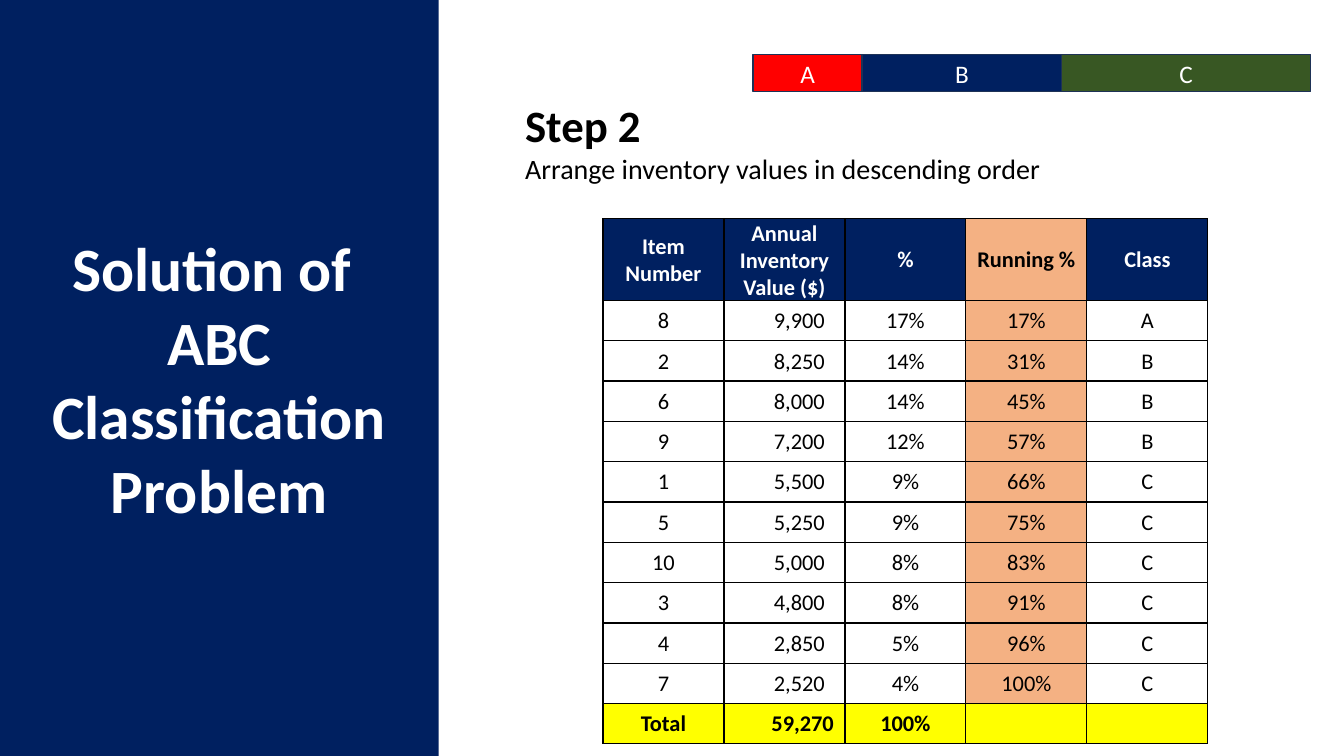
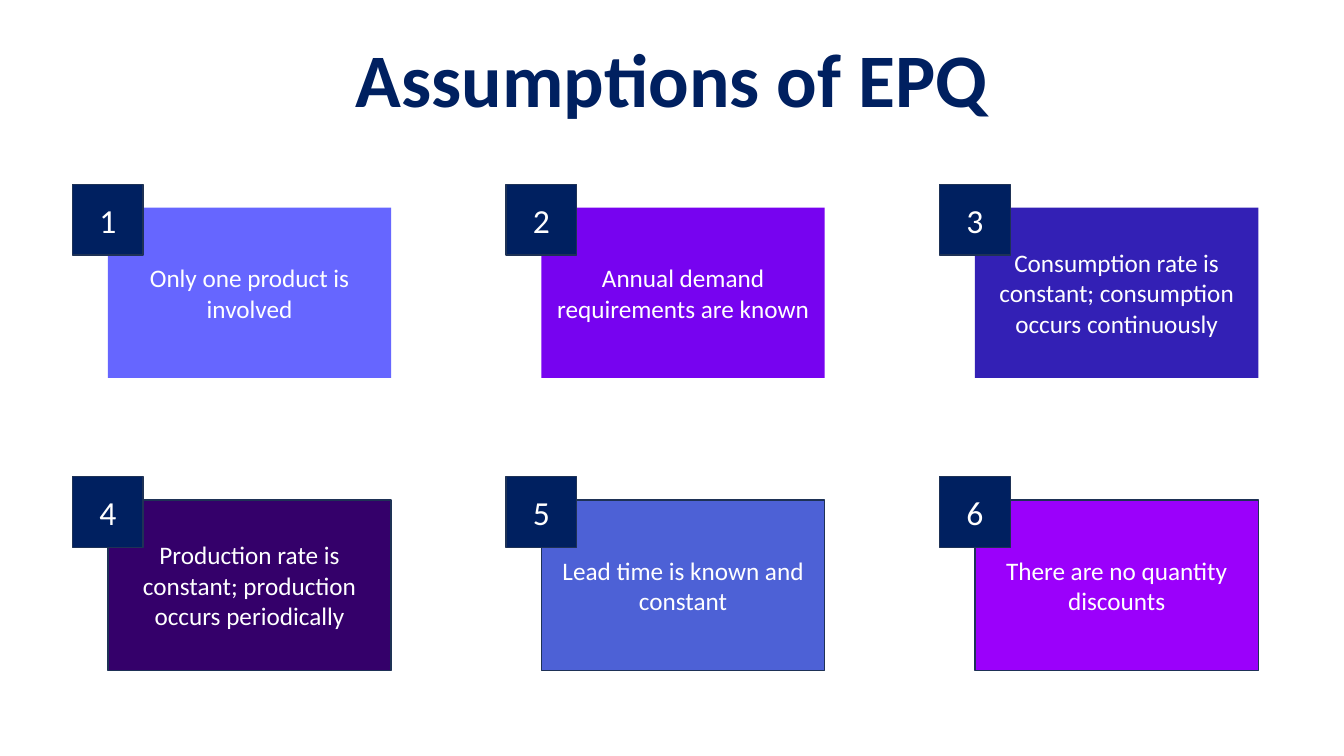
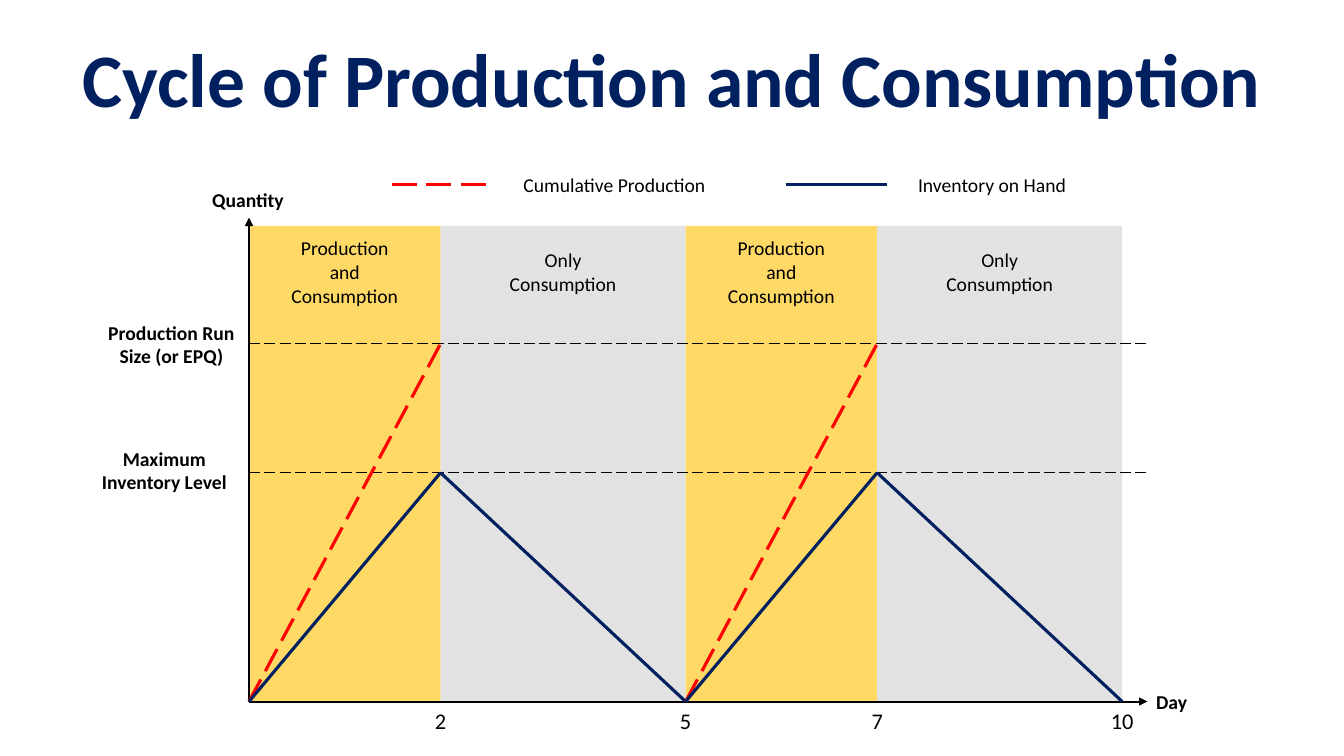
import lxml.etree
import pptx
import pptx.dml.color
import pptx.enum.dml
import pptx.enum.shapes
import pptx.enum.text
import pptx.oxml.ns
import pptx.util

Inches = pptx.util.Inches
Pt = pptx.util.Pt
RGBColor = pptx.dml.color.RGBColor
ALIGN = pptx.enum.text.PP_ALIGN
MIDDLE = pptx.enum.text.MSO_ANCHOR.MIDDLE
RECTANGLE = pptx.enum.shapes.MSO_SHAPE.RECTANGLE
STRAIGHT = pptx.enum.shapes.MSO_CONNECTOR.STRAIGHT
LONG_DASH = pptx.enum.dml.MSO_LINE.LONG_DASH
qn = pptx.oxml.ns.qn

NAVY = RGBColor(0x00, 0x20, 0x60)
OUTLINE = RGBColor(0x1E, 0x32, 0x56)
WHITE = RGBColor(0xFF, 0xFF, 0xFF)
BLACK = RGBColor(0x00, 0x00, 0x00)
RED = RGBColor(0xFF, 0x00, 0x00)
GREEN = RGBColor(0x38, 0x57, 0x23)
PEACH = RGBColor(0xF4, 0xB1, 0x83)
YELLOW = RGBColor(0xFF, 0xFF, 0x00)
GOLD = RGBColor(0xFF, 0xD9, 0x66)
GREY = RGBColor(0xE2, 0xE2, 0xE2)
PERIWINKLE = RGBColor(0x66, 0x66, 0xFF)
VIOLET = RGBColor(0x77, 0x03, 0xF0)
INDIGO = RGBColor(0x33, 0x20, 0xB5)
PLUM = RGBColor(0x34, 0x00, 0x6A)
BLUE = RGBColor(0x4D, 0x61, 0xD6)
PURPLE = RGBColor(0x9B, 0x00, 0xFB)


class Deck:
    """Holds the presentation, its style and the current slide."""
    font = "Calibri"
    width, height = 13.33, 7.5

    def __init__(self):
        self.prs = pptx.Presentation()
        self.prs.slide_width = Inches(self.width)
        self.prs.slide_height = Inches(self.height)

    def new_slide(self, title=None):
        self.s = self.prs.slides.add_slide(self.prs.slide_layouts[6])
        if title:
            self.text(0, 0, self.width, 1.53, title, size=54, color=NAVY, bold=True)

    def styled_run(self, p, text, align=ALIGN.CENTER, size=18, color=BLACK, bold=False):
        p.alignment = align
        r = p.add_run()
        r.text = text
        r.font.color.rgb = color
        style = {"name": self.font, "size": Pt(size), "bold": bold}
        for key, value in style.items():
            setattr(r.font, key, value)

    def frame(self, sp, *lines, **style):
        """Fills a shape with one paragraph per line."""
        tf = sp.text_frame
        tf.word_wrap = True
        tf.vertical_anchor = MIDDLE
        for i, line in enumerate(lines):
            p = tf.add_paragraph() if i else tf.paragraphs[0]
            self.styled_run(p, line, **style)
        return tf

    def text(self, x, y, w, h, *lines, **style):
        sp = self.s.shapes.add_textbox(Inches(x), Inches(y), Inches(w), Inches(h))
        return self.frame(sp, *lines, **style)

    def box(self, x, y, w, h, fill, *lines, outline=None, **style):
        sp = self.s.shapes.add_shape(RECTANGLE, Inches(x), Inches(y), Inches(w), Inches(h))
        sp.shadow.inherit = False
        sp.fill.solid()
        sp.fill.fore_color.rgb = fill
        if outline is None:
            sp.line.fill.background()
        else:
            sp.line.color.rgb = outline
            sp.line.width = Pt(1)
        self.frame(sp, *lines, color=WHITE, **style)

    def line(self, start, end, color=BLACK, width=1.0, dash=None, arrow=False):
        sp = self.s.shapes.add_connector(STRAIGHT, *map(Inches, start + end))
        sp.line.color.rgb = color
        sp.line.width = Pt(width)
        if dash:
            sp.line.dash_style = dash
        spPr = sp._element.spPr
        if arrow:
            lxml.etree.SubElement(spPr.find(qn("a:ln")), qn("a:tailEnd"), type="triangle")
        lxml.etree.SubElement(spPr, qn("a:effectLst"))

    def cell(self, cell, text, fill, right=0.01, **style):
        margins = {"margin_left": 0.01, "margin_right": right,
                   "margin_top": 0.01, "margin_bottom": 0}
        for key, value in margins.items():
            setattr(cell, key, Inches(value))
        cell.vertical_anchor = MIDDLE
        tcPr = cell._tc.get_or_add_tcPr()
        for side in ("lnL", "lnR", "lnT", "lnB"):
            ln = lxml.etree.SubElement(tcPr, qn("a:" + side), w=str(Pt(1)))
            solid = lxml.etree.SubElement(ln, qn("a:solidFill"))
            lxml.etree.SubElement(solid, qn("a:srgbClr"), val=str(BLACK))
        cell.fill.solid()
        cell.fill.fore_color.rgb = fill
        if text:
            self.styled_run(cell.text_frame.paragraphs[0], text, size=16, **style)

    def table(self, x, y, col_width, row_heights, rows, cell_style):
        """Draws rows; cell_style(row, column) gives the format of a cell."""
        n = len(rows[0])
        frame = self.s.shapes.add_table(len(rows), n, Inches(x), Inches(y),
                                        Inches(col_width * n), Inches(sum(row_heights)))
        table = frame.table
        table.first_row = table.horz_banding = False
        for column in table.columns:
            column.width = Inches(col_width)
        for i, row in enumerate(rows):
            table.rows[i].height = Inches(row_heights[i])
            for j, text in enumerate(row):
                self.cell(table.cell(i, j), text, **cell_style(i, j))


def abc_solution(deck):
    deck.new_slide()
    deck.box(0, 0, 4.35, deck.height, NAVY, "Solution of ", "ABC Classification Problem",
             size=44, bold=True)
    tf = deck.text(5.11, 0.54, 8.03, 1.72, "Step 2", align=ALIGN.LEFT, size=32, bold=True)
    deck.styled_run(tf.add_paragraph(), "Arrange inventory values in descending order",
                    align=ALIGN.LEFT, size=20)

    rows = [
        ("Item Number", "Annual Inventory Value ($)", "%", "Running %", "Class"),
        ("8", "9,900", "17%", "17%", "A"),
        ("2", "8,250", "14%", "31%", "B"),
        ("6", "8,000", "14%", "45%", "B"),
        ("9", "7,200", "12%", "57%", "B"),
        ("1", "5,500", "9%", "66%", "C"),
        ("5", "5,250", "9%", "75%", "C"),
        ("10", "5,000", "8%", "83%", "C"),
        ("3", "4,800", "8%", "91%", "C"),
        ("4", "2,850", "5%", "96%", "C"),
        ("7", "2,520", "4%", "100%", "C"),
        ("Total", "59,270", "100%", "", ""),
    ]
    header, total, value, running = 0, len(rows) - 1, 1, 3

    def cell_style(i, j):
        style = {"fill": WHITE, "bold": i in (header, total)}
        if i == total:
            style["fill"] = YELLOW
        elif j == running:
            style["fill"] = PEACH
        elif i == header:
            style.update(fill=NAVY, color=WHITE)
        if j == value and i != header:
            style.update(align=ALIGN.RIGHT, right=0.11 if i == total else 0.2)
        return style

    deck.table(5.98, 2.17, 1.2, [0.81] + [0.4] * total, rows, cell_style)

    x = 7.47
    for name, width, fill in (("A", 1.08, RED), ("B", 1.98, NAVY), ("C", 2.47, GREEN)):
        deck.box(x, 0.54, width, 0.37, fill, name, outline=OUTLINE)
        x += width


def epq_assumptions(deck):
    deck.new_slide("Assumptions of EPQ")
    assumptions = [
        ("Only one product is involved", PERIWINKLE, None),
        ("Annual demand requirements are known", VIOLET, None),
        ("Consumption rate is constant; consumption occurs continuously", INDIGO, None),
        ("Production rate is constant; production occurs periodically", PLUM, OUTLINE),
        ("Lead time is known and constant", BLUE, OUTLINE),
        ("There are no quantity discounts", PURPLE, OUTLINE),
    ]
    for i, (text, fill, outline) in enumerate(assumptions):
        row, col = divmod(i, 3)
        x, y = 0.72 + 4.3 * col, 1.83 + 2.9 * row
        deck.box(x + 0.35, y + 0.23, 2.81, 1.69, fill, text, outline=outline)
        deck.box(x, y, 0.7, 0.7, NAVY, str(i + 1), outline=OUTLINE, size=24)


def production_cycle(deck):
    deck.new_slide("Cycle of Production and Consumption")
    day_x = {0: 2.47, 2: 4.37, 5: 6.8, 7: 8.7, 10: 11.13}
    days = list(day_x)
    top, base, run_size, max_level, right = 2.24, 6.96, 3.41, 4.69, 11.38
    phases = [("Production and Consumption", GOLD), ("Only Consumption", GREY)] * 2
    bands = [(day_x[a], day_x[b], *phase) for a, b, phase in zip(days, days[1:], phases)]
    produced = {"color": RED, "width": 2.25, "dash": LONG_DASH}
    on_hand = {"color": NAVY, "width": 2.25}

    for x1, x2, label, fill in bands:
        deck.box(x1, top, x2 - x1, base - top, fill)
    origin = (day_x[0], base)
    for end in ((right, base), (day_x[0], 2.16)):
        deck.line(origin, end, width=1.5, arrow=True)
    for level in (run_size, max_level):
        deck.line((day_x[0], level), (right, level), dash=LONG_DASH)

    for x1, x2, label, fill in bands:
        if fill == GOLD:
            deck.line((x1, base), (x2, run_size), **produced)
            deck.line((x1, base), (x2, max_level), **on_hand)
        else:
            deck.line((x1, max_level), (x2, base), **on_hand)
        deck.text((x1 + x2) / 2 - 0.7, 2.34, 1.4, 0.71, label, size=14)

    for day in days[1:]:
        deck.text(day_x[day] - 0.26, 7.02, 0.52, 0.26, str(day), size=16)
    for x, y, w, h, label in (
            (11.32, 6.82, 0.6, 0.29, "Day"),
            (1.76, 1.84, 1.4, 0.29, "Quantity"),
            (0.89, 3.06, 1.62, 0.71, "Production Run Size (or EPQ)"),
            (0.82, 4.31, 1.62, 0.71, "Maximum Inventory Level")):
        deck.text(x, y, w, h, label, size=14, bold=True)

    for x1, x2, text_x, w, label, style in (
            (4.82, 3.82, 4.87, 2.45, "Cumulative Production", produced),
            (7.8, 8.8, 8.93, 1.82, "Inventory on Hand", on_hand)):
        deck.line((x1, 1.83), (x2, 1.83), **style)
        deck.text(text_x, 1.59, w, 0.48, label, size=14)


def main():
    deck = Deck()
    abc_solution(deck)
    epq_assumptions(deck)
    production_cycle(deck)
    deck.prs.save("out.pptx")


if __name__ == "__main__":
    main()
